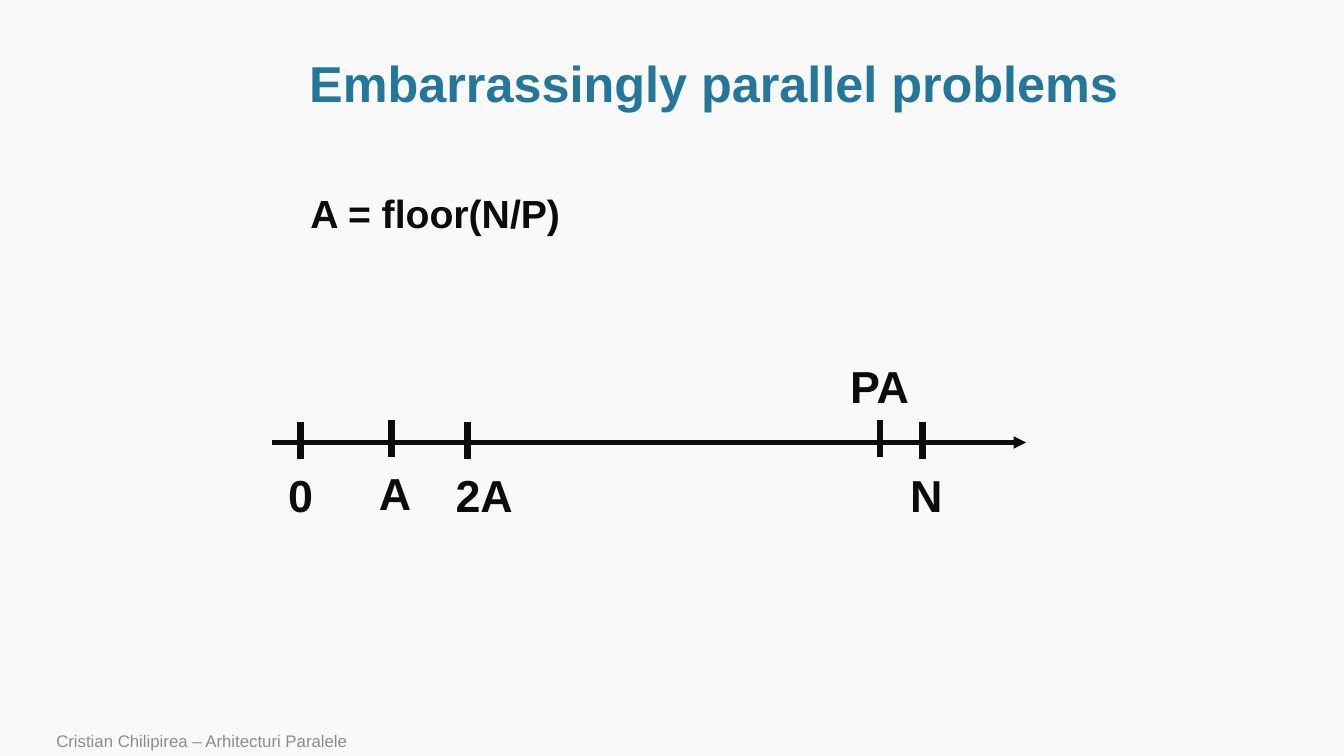
import pptx
import pptx.util
import pptx.dml.color
import pptx.enum.shapes
import pptx.enum.text
import pptx.oxml
import pptx.oxml.ns

Pt = pptx.util.Pt
RGBColor = pptx.dml.color.RGBColor
PP_ALIGN = pptx.enum.text.PP_ALIGN
MSO_ANCHOR = pptx.enum.text.MSO_ANCHOR
MSO_AUTO_SIZE = pptx.enum.text.MSO_AUTO_SIZE

BACKGROUND = RGBColor(0xF9, 0xF9, 0xF9)
BLUE = RGBColor(0x24, 0x77, 0x98)
INK = RGBColor(0x0C, 0x0C, 0x0C)
GRAY = RGBColor(0x8C, 0x8C, 0x8C)

TITLE = "Embarrassingly parallel problems"
FORMULA = "A = floor(N/P)"
FOOTER = "Cristian Chilipirea – Arhitecturi Paralele"

# label, tick x, tick top, label width
MARKS_BELOW = [
    ("0", 214.5, 301.7, 32.4),
    ("A", 279.4, 300.3, 38.2),
    ("2A", 334.1, 301.7, 56.2),
    ("N", 658.8, 301.7, 38.2),
]
MARK_ABOVE = ("PA", 628.6, 300.3, 56.9)

AXIS_LEFT, AXIS_RIGHT, AXIS_Y = 194.4, 733, 316.1
TICK_HEIGHT = 25.9
LABEL_HEIGHT = 46
LABEL_SHIFT = 15.8
LABEL_DROP = 28.8


def write_text(box, text, size=32, color=INK, bold=True, align=PP_ALIGN.LEFT,
               anchor=MSO_ANCHOR.TOP, wrap=False, spacing=1.0):
    frame = box.text_frame
    frame.auto_size = MSO_AUTO_SIZE.NONE
    frame.word_wrap = wrap
    frame.vertical_anchor = anchor
    para = frame.paragraphs[0]
    para.alignment = align
    para.line_spacing = spacing
    span = para.add_run()
    span.text = text
    span.font.name = "Arial"
    span.font.size = Pt(size)
    span.font.bold = bold
    span.font.color.rgb = color


def add_text(page, text, left, top, width, height, **style):
    box = page.shapes.add_textbox(Pt(left), Pt(top), Pt(width), Pt(height))
    write_text(box, text, **style)


def add_line(page, start, end, width, arrow=False):
    line = page.shapes.add_connector(
        pptx.enum.shapes.MSO_CONNECTOR.STRAIGHT,
        Pt(start[0]), Pt(start[1]), Pt(end[0]), Pt(end[1]))
    line.line.color.rgb = INK
    line.line.width = Pt(width)
    if arrow:
        head = pptx.oxml.parse_xml(
            f'<a:tailEnd {pptx.oxml.ns.nsdecls("a")} type="triangle"/>')
        line.line._get_or_add_ln().append(head)
    line._element.spPr.append(
        pptx.oxml.parse_xml(f'<a:effectLst {pptx.oxml.ns.nsdecls("a")}/>'))


def add_tick(page, x, top):
    add_line(page, (x, top), (x, top + TICK_HEIGHT), 5)


def main():
    deck = pptx.Presentation()
    deck.slide_width, deck.slide_height = Pt(960), Pt(540)
    page = deck.slides.add_slide(deck.slide_layouts[5])
    page.background.fill.solid()
    page.background.fill.fore_color.rgb = BACKGROUND

    title = page.shapes.title
    title.left, title.top = Pt(82), Pt(36.7)
    title.width, title.height = Pt(856), Pt(49.7)
    write_text(title, TITLE, size=36, color=BLUE, align=PP_ALIGN.CENTER,
               anchor=MSO_ANCHOR.MIDDLE, wrap=True, spacing=0.9)

    add_text(page, FORMULA, 214.6, 131.8, 203, 41, size=28)

    add_line(page, (AXIS_LEFT, AXIS_Y), (AXIS_RIGHT, AXIS_Y), 3, arrow=True)
    for label, x, top, width in MARKS_BELOW:
        add_tick(page, x, top)
        add_text(page, label, x - LABEL_SHIFT, top + LABEL_DROP, width, LABEL_HEIGHT)

    label, x, top, width = MARK_ABOVE
    add_tick(page, x, top)
    add_text(page, label, x - width / 2, top - LABEL_HEIGHT - 1.5, width, LABEL_HEIGHT)

    add_text(page, FOOTER, 33.1, 519.8, 707, 20.2, size=12, color=GRAY,
             bold=False, anchor=MSO_ANCHOR.BOTTOM, wrap=True)

    deck.save("out.pptx")


if __name__ == "__main__":
    main()
